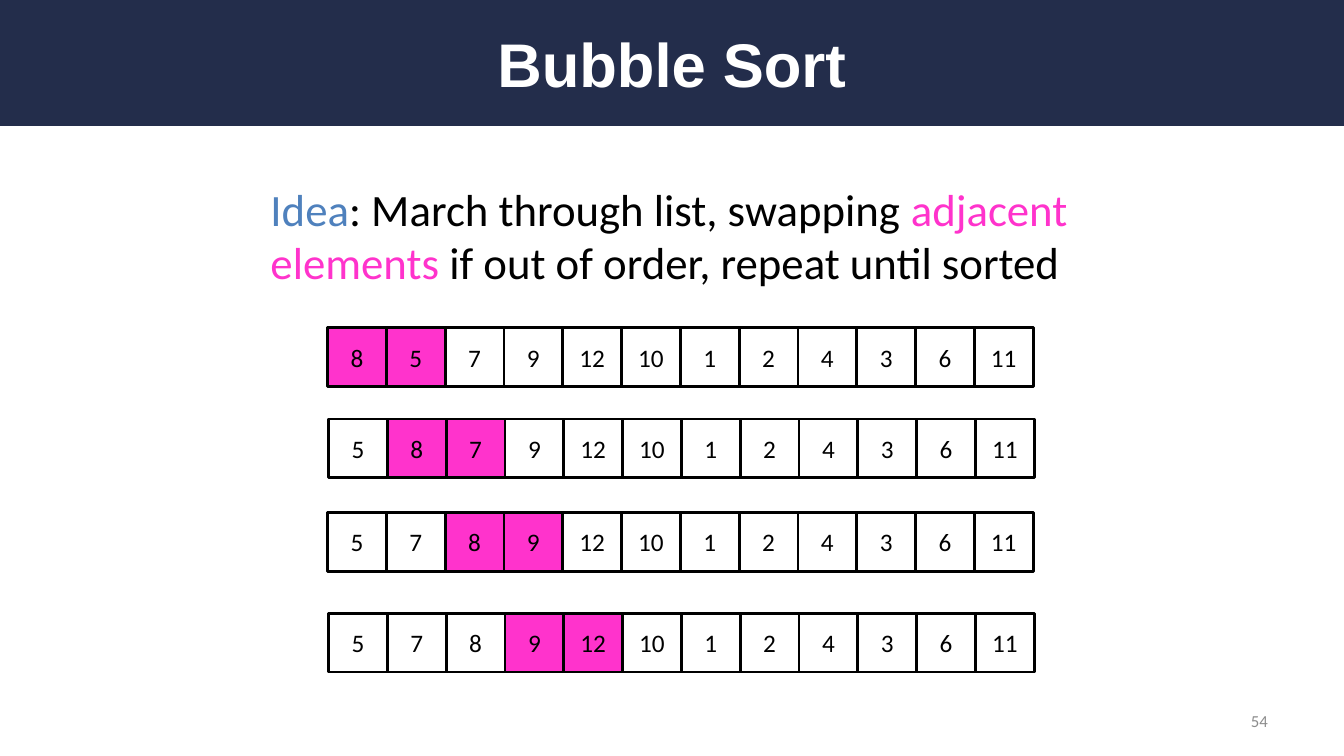
import dataclasses

import pptx
import pptx.dml.color
import pptx.enum.shapes
import pptx.enum.text
import pptx.oxml
import pptx.oxml.ns
import pptx.util

PX = 9525  # EMU in one px, at 96 px to the inch
ALIGN = pptx.enum.text.PP_ALIGN
CELL = 56


@dataclasses.dataclass(frozen=True)
class Theme:
    navy: str = "232D4B"
    white: str = "FFFFFF"
    black: str = "000000"
    blue: str = "4F81BD"
    pink: str = "FF33CC"
    grey: str = "8C8C8C"
    title_font: str = "Arial"
    text_font: str = "Calibri"
    title_size: int = 44
    idea_size: int = 32
    cell_size: int = 18
    number_size: int = 12
    cell_line: int = 2


THEME = Theme()


def emu(*lengths):
    return [pptx.util.Emu(length * PX) for length in lengths]


def rgb(colour):
    return pptx.dml.color.RGBColor.from_string(colour)


def place(shape, left, top, width, height):
    shape.left, shape.top, shape.width, shape.height = emu(left, top, width, height)


def write(shape, text, *, size, colour=THEME.black, font=THEME.text_font,
          bold=False, align=ALIGN.LEFT):
    """Fill a shape with one paragraph; text is a string or (words, colour) pairs."""
    frame = shape.text_frame
    frame.word_wrap = True
    frame.auto_size = pptx.enum.text.MSO_AUTO_SIZE.NONE
    frame.vertical_anchor = pptx.enum.text.MSO_ANCHOR.MIDDLE
    paragraph = frame.paragraphs[0]
    paragraph.alignment = align
    paragraph.space_before = pptx.util.Pt(0)
    pieces = [(text, colour)] if isinstance(text, str) else text
    for words, piece_colour in pieces:
        run = paragraph.add_run()
        run.text = words
        run.font.name = font
        run.font.size = pptx.util.Pt(size)
        run.font.bold = bold
        run.font.color.rgb = rgb(piece_colour)


def remove_bullet(paragraph):
    properties = paragraph._p.get_or_add_pPr()
    properties.set("marL", "0")
    properties.set("indent", "0")
    properties.append(pptx.oxml.parse_xml(
        f"<a:buNone {pptx.oxml.ns.nsdecls('a')}/>"))


def add_box(shapes, left, top, width, height, fill=None, line=None):
    box = shapes.add_shape(pptx.enum.shapes.MSO_SHAPE.RECTANGLE,
                           *emu(left, top, width, height))
    box.shadow.inherit = False
    if fill:
        box.fill.solid()
        box.fill.fore_color.rgb = rgb(fill)
    else:
        box.fill.background()
    if line:
        box.line.color.rgb = rgb(line)
        box.line.width = pptx.util.Pt(THEME.cell_line)
    else:
        box.line.fill.background()
    return box


def add_list_row(slide, values, left, top, compared):
    row = slide.shapes.add_group_shape()
    for index, value in enumerate(values):
        cell = add_box(row.shapes, left + index * CELL, top, CELL, CELL,
                       fill=THEME.pink if index in compared else None,
                       line=THEME.black)
        write(cell, str(value), size=THEME.cell_size, align=ALIGN.CENTER)


def main():
    deck = pptx.Presentation()
    deck.slide_width, deck.slide_height = emu(1280, 720)
    slide = deck.slides.add_slide(deck.slide_layouts[1])
    title, idea = slide.placeholders

    # Title on its band, which goes behind everything
    band = add_box(slide.shapes, 0, 0, 1280, 120, fill=THEME.navy)
    title._element.addprevious(band._element)
    place(title, 64, 16, 1152, 88)
    write(title, "Bubble Sort", size=THEME.title_size, colour=THEME.white,
          font=THEME.title_font, bold=True, align=ALIGN.CENTER)

    # Idea of the algorithm
    place(idea, 248, 168, 864, 112)
    remove_bullet(idea.text_frame.paragraphs[0])
    write(idea, [("Idea", THEME.blue),
                 (": March through list, swapping ", THEME.black),
                 ("adjacent elements", THEME.pink),
                 (" if out of order, repeat until sorted", THEME.black)],
          size=THEME.idea_size)

    # Slide number
    number = slide.shapes.add_textbox(*emu(918, 667, 299, 38))
    write(number, "54", size=THEME.number_size, colour=THEME.grey,
          align=ALIGN.RIGHT)

    # First steps of the sort: each row shows the pair being compared
    values = [8, 5, 7, 9, 12, 10, 1, 2, 4, 3, 6, 11]
    row_corners = [(312, 312), (313, 399), (312, 488), (313, 584)]
    for step, (left, top) in enumerate(row_corners):
        add_list_row(slide, values, left, top, compared=(step, step + 1))
        values[step:step + 2] = sorted(values[step:step + 2])

    deck.save("out.pptx")


if __name__ == "__main__":
    main()
